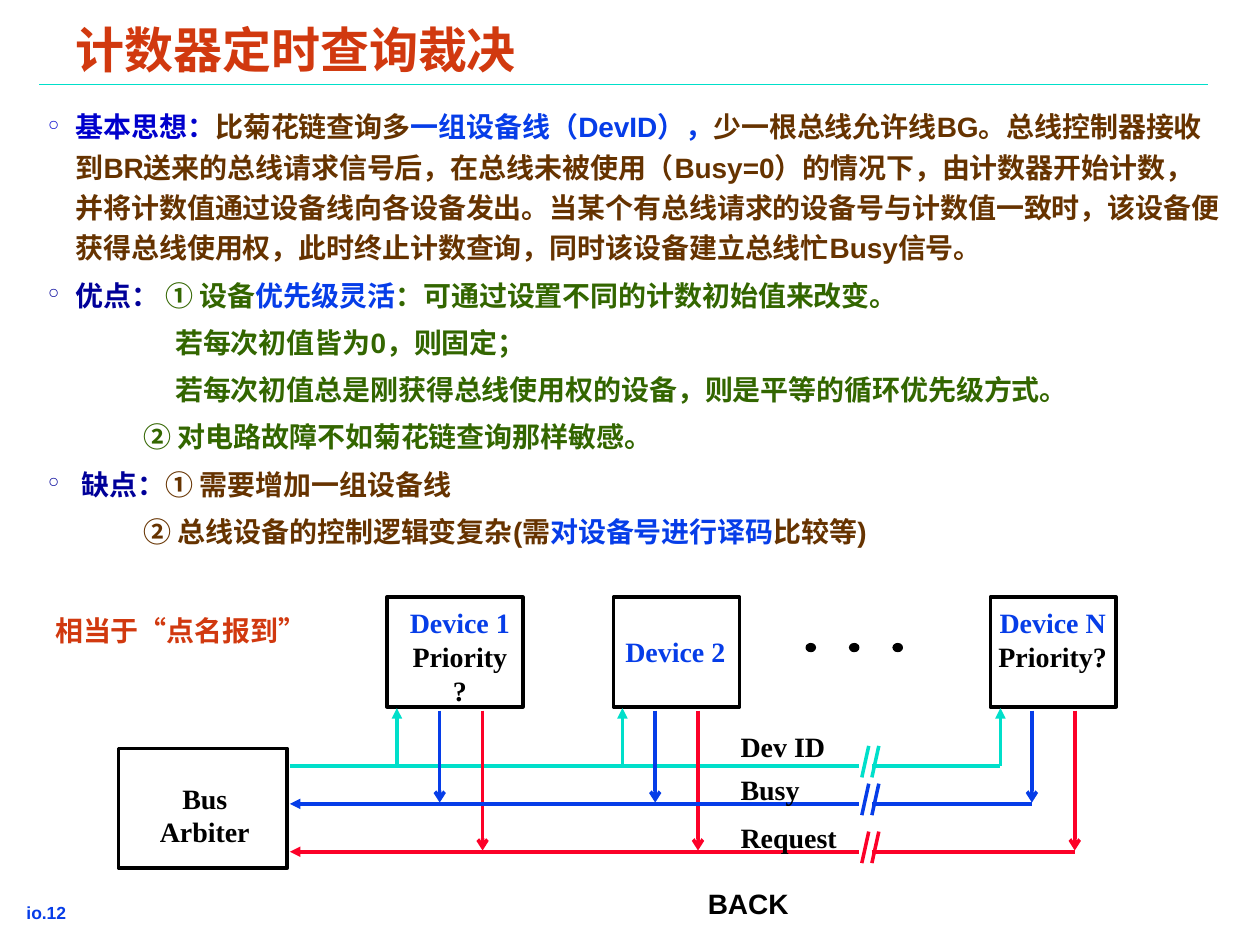
from pptx import Presentation
from pptx.dml.color import RGBColor
from pptx.enum import shapes, text
from pptx.oxml.ns import qn
from pptx.util import Inches, Pt
from lxml import etree

HUES = dict(black="000000", blue="063DE8", navy="000099", royal="0000CC",
            brown="663300", green="336600", teal="00DFCA", red="FC0128",
            rust="D1390F")
SANS, SERIF = "Arial", "Times New Roman"

# Body paragraphs: left margin, hanging indent, bullet colour, coloured runs
BODY = [
    (0.22, 0.22, "royal", [
        ("基本思想：", "royal"), ("比菊花链查询多", "brown"),
        ("一组设备线（DevID），", "blue"),
        ("少一根总线允许线BG。总线控制器接收到BR送来的总线请求信号后，"
         "在总线未被使用（Busy=0）的情况下，由计数器开始计数，"
         "并将计数值通过设备线向各设备发出。"
         "当某个有总线请求的设备号与计数值一致时，该设备便获得总线使用权，"
         "此时终止计数查询，同时该设备建立总线忙Busy信号。", "brown")]),
    (0.22, 0.22, "navy", [
        ("优点： ", "navy"), ("① 设备", "green"), ("优先级灵活", "blue"),
        ("：可通过设置不同的计数初始值来改变。", "green")]),
    (1.01, 0, None, [("若每次初值皆为0，则固定；", "green")]),
    (1.01, 0, None, [("若每次初值总是刚获得总线使用权的设备，"
                      "则是平等的循环优先级方式。", "green")]),
    (0.76, 0, None, [("② 对电路故障不如菊花链查询那样敏感。", "green")]),
    (0.27, 0.27, "navy", [("缺点：", "navy"),
                          ("① 需要增加一组设备线", "brown")]),
    (0.76, 0, None, [("② 总线设备的控制逻辑变复杂(需", "brown"),
                     ("对设备号进行译码", "blue"), ("比较等)", "brown")]),
]

# Boxes: frame, place of the wording, lines of wording
BOXES = [
    ((0.94, 5.94, 1.34, 0.95), (1.07, 6.15, 1.11, 0.63),
     [("Bus", "black"), ("Arbiter", "black")]),
    ((3.07, 4.74, 1.08, 0.87), (3.13, 4.76, 1.04, 0.9),
     [("Device 1", "blue"), ("Priority?", "black")]),
    ((4.87, 4.74, 1, 0.87), (4.84, 4.99, 1.04, 0.36),
     [("Device 2", "blue")]),
    ((7.86, 4.74, 1, 0.87), (7.75, 4.76, 1.21, 0.63),
     [("Device N", "blue"), ("Priority?", "black")]),
]

# Buses: label, label top, height on slide, colour, x of each device tap
BUSES = [
    ("Dev ID", 5.74, 6.08, "teal", (3.15, 4.94, 7.94)),
    ("Request", 6.46, 6.76, "red", (3.83, 5.54, 8.53)),
    ("Busy", 6.08, 6.38, "blue", (3.49, 5.2, 8.19)),
]
LEFT, GAP, RISE = 2.3, (6.82, 6.92), 0.25
DOTS = [6.4 + 0.345 * i for i in range(3)]

deck = Presentation()
deck.slide_width, deck.slide_height = Inches(10), Inches(7.5)
slide = deck.slides.add_slide(deck.slide_layouts[6])
pen = slide.shapes


def rgb(hue):
    return RGBColor.from_string(HUES[hue])


def style(font, size, face, hue):
    font.size, font.name, font.bold = Pt(size), face, True
    font.color.rgb = rgb(hue)


def frame(at, pad=(0.1, 0.05)):
    area = pen.add_textbox(*map(Inches, at)).text_frame
    area.word_wrap = True
    area.margin_left = area.margin_right = Inches(pad[0])
    area.margin_top = area.margin_bottom = Inches(pad[1])
    return area


def write(at, rows, face=SERIF, size=16, align=text.PP_ALIGN.LEFT,
          pad=(0.1, 0.05)):
    area = frame(at, pad)
    for i, (words, hue) in enumerate(rows):
        para = area.add_paragraph() if i else area.paragraphs[0]
        para.text, para.alignment = words, align
        style(para.font, size, face, hue)
    return area


def line(start, end, hue, width=2, head=None, tail=None):
    wire = pen.add_connector(shapes.MSO_CONNECTOR.STRAIGHT,
                             *map(Inches, start + end))
    wire.line.color.rgb, wire.line.width = rgb(hue), Pt(width)
    for tag, kind in (("a:headEnd", head), ("a:tailEnd", tail)):
        if kind:
            etree.SubElement(wire.line._get_or_add_ln(), qn(tag), type=kind)
    etree.SubElement(wire._element.spPr, qn("a:effectLst"))


def shape(kind, at, width, fill=None):
    form = pen.add_shape(kind, *map(Inches, at))
    form.shadow.inherit = False
    if fill:
        form.fill.solid()
        form.fill.fore_color.rgb = rgb(fill)
    else:
        form.fill.background()
    form.line.color.rgb, form.line.width = rgb("black"), Pt(width)


def indent(para, left, hang, hue):
    props = para._p.get_or_add_pPr()
    props.set("marL", str(Inches(left)))
    props.set("indent", str(-Inches(hang)))
    if hue:
        tint = etree.SubElement(props, qn("a:buClr"))
        etree.SubElement(tint, qn("a:srgbClr"), val=HUES[hue])
        etree.SubElement(props, qn("a:buChar"), char="°")
    else:
        etree.SubElement(props, qn("a:buNone"))


# Heading and footer
write((0.14, 7.13, 1, 0.22), [("io.12", "blue")], SANS, 10, pad=(0.07, 0.03))
line((0.31, 0.67), (9.59, 0.67), "teal", 1)
title = write((0.53, 0.19, 9.13, 0.46), [("计数器定时查询裁决", "rust")],
              SANS, 28, pad=(0.07, 0.03))
title.vertical_anchor = text.MSO_ANCHOR.MIDDLE
title.paragraphs[0].line_spacing = 0.87

# Body
body = frame((0.31, 0.79, 9.45, 3.59), (0.07, 0.03))
for i, (left, hang, mark, runs) in enumerate(BODY):
    para = body.add_paragraph() if i else body.paragraphs[0]
    para.line_spacing = 1.2
    para.space_before = Pt(4 if i else 0)
    indent(para, left, hang, mark)
    for words, hue in runs:
        run = para.add_run()
        run.text = words
        style(run.font, 16, SANS, hue)

# Diagram
for at, spot, rows in BOXES:
    shape(shapes.MSO_SHAPE.RECTANGLE, at, 2)
    write(spot, rows, align=text.PP_ALIGN.CENTER)
for x in DOTS:
    shape(shapes.MSO_SHAPE.OVAL, (x, 5.11, 0.07, 0.06), 1, "black")
for name, top, y, hue, taps in BUSES:
    out = hue == "teal"  # the counter drives this bus towards the devices
    line((LEFT, y), (GAP[0], y), hue, head=None if out else "triangle")
    line((GAP[1], y), (taps[-1], y), hue)
    for x in (6.84, 6.92):
        line((x, y + 0.09), (x + 0.055, y + 0.09 - RISE), hue)
    for x in taps:
        if out:
            line((x, y), (x, 5.62), hue, tail="triangle")
        else:
            line((x, 5.64), (x, y - 0.01), hue, tail="arrow")
for name, top, *rest in BUSES:
    write((5.78, top, 1.1, 0.36), [(name, "black")])

write((5.52, 6.99, 1, 0.37), [("BACK", "black")], SANS)
write((0.34, 4.82, 2.36, 0.37), [("相当于“点名报到”", "rust")])

deck.save("out.pptx")
